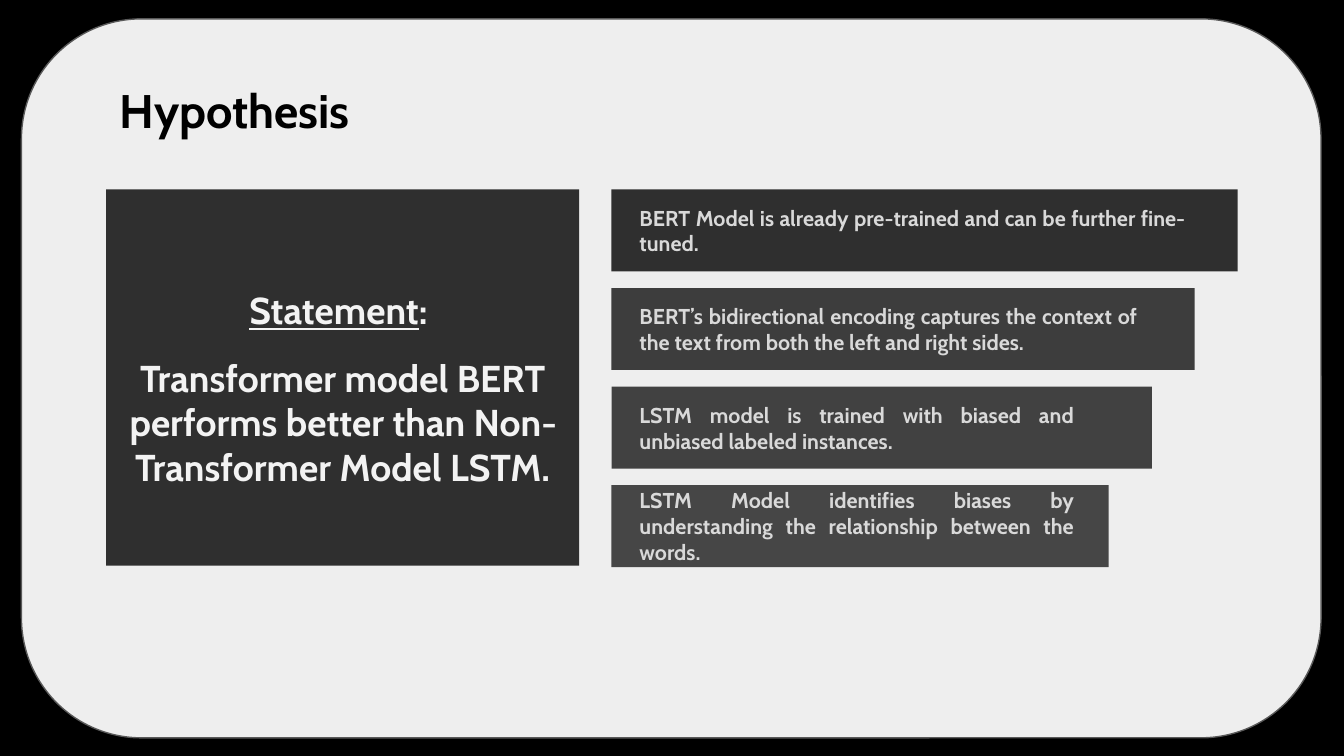
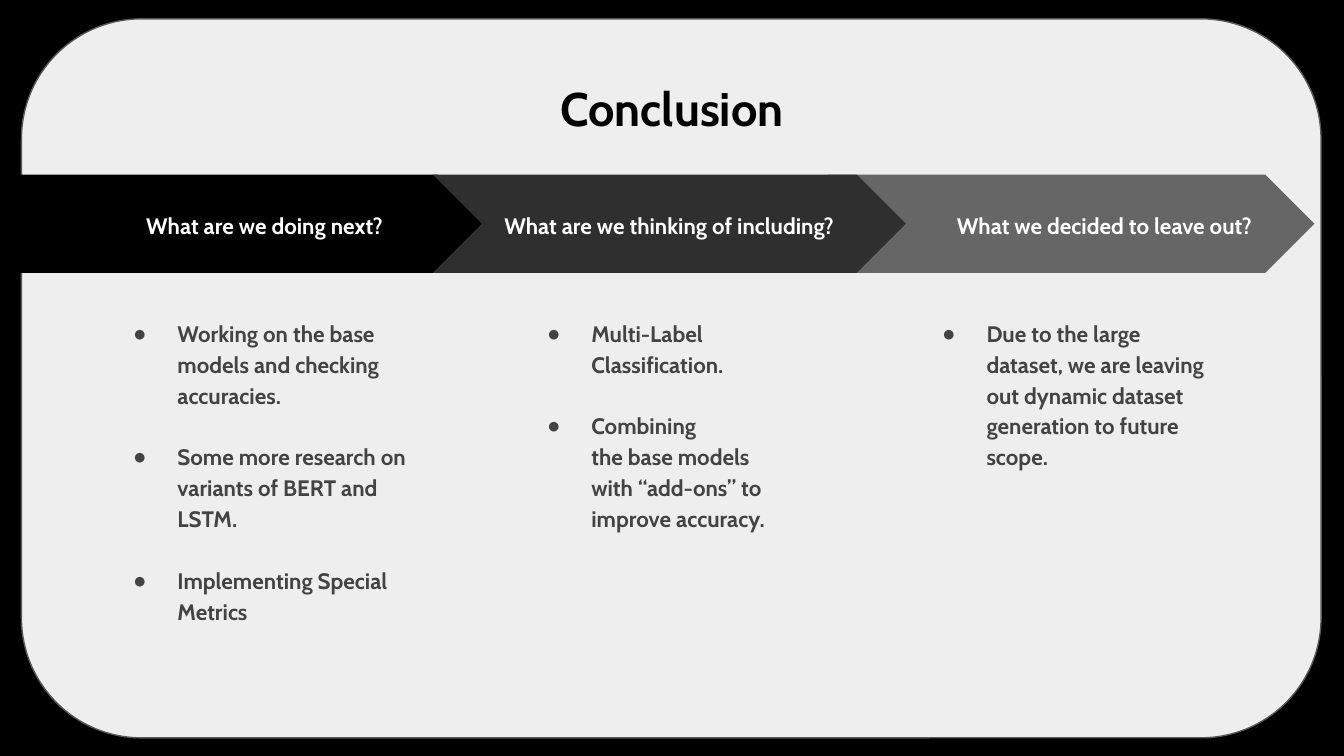
from dataclasses import dataclass

from lxml import etree
from pptx import Presentation
from pptx import util as u
from pptx.dml import color as dml
from pptx.enum import shapes, text
from pptx.oxml import ns

IN = u.Inches
KIND = shapes.MSO_SHAPE
SIDE = text.PP_ALIGN
MID = text.MSO_ANCHOR.MIDDLE
TOP = text.MSO_ANCHOR.TOP


@dataclass(frozen=True)
class Theme:
    font: str = "Cabin"
    black: str = "000000"
    white: str = "FFFFFF"
    pale: str = "EEEEEE"
    edge: str = "595959"
    dark: str = "2F2F2F"
    gray: str = "666666"
    ink: str = "434343"
    light: str = "F3F3F3"
    soft: str = "D9D9D9"
    bars: tuple = ("2F2F2F", "3D3D3D", "414141", "464646")
    head: float = 25.2
    big: float = 20
    body: float = 12
    small: float = 11.5
    lead: float = 1.15


def rgb(code):
    return dml.RGBColor.from_string(code)


def write(par, words, size, color, align=None, lead=None, before=0, under=False):
    """Add a formatted run to a paragraph and set the paragraph's spacing."""
    run = par.add_run()
    run.text = words
    font = run.font
    font.name, font.size, font.bold = Theme.font, u.Pt(size), True
    font.underline = under
    font.color.rgb = rgb(color)
    par.space_before = u.Pt(before)
    if align is not None:
        par.alignment = align
    if lead:
        par.line_spacing = lead


def indent(par, left, first, mark=None, color=None):
    """Set the indents, and a bullet where a mark is given."""
    props = par._p.get_or_add_pPr()
    props.set("marL", str(IN(left)))
    props.set("indent", str(IN(first)))
    if mark:
        tint = etree.SubElement(props, ns.qn("a:buClr"))
        etree.SubElement(tint, ns.qn("a:srgbClr"), val=color)
        etree.SubElement(props, ns.qn("a:buChar"), char=mark)
    else:
        etree.SubElement(props, ns.qn("a:buNone"))


class Deck:
    def __init__(self, theme, wide, high):
        self.theme = theme
        self.prs = Presentation()
        self.prs.slide_width, self.prs.slide_height = IN(wide), IN(high)
        self.slide = None

    def page(self, layout):
        self.slide = self.prs.slides.add_slide(self.prs.slide_layouts[layout])

    def frame(self, item, anchor=MID, side=0.1, edge=0.1):
        box = item.text_frame
        box.word_wrap = True
        box.auto_size = text.MSO_AUTO_SIZE.NONE
        box.vertical_anchor = anchor
        box.margin_left = box.margin_right = IN(side)
        box.margin_top = box.margin_bottom = IN(edge)
        return box

    def place(self, item, x, y, w, h):
        item.left, item.top, item.width, item.height = map(IN, (x, y, w, h))

    def shape(self, kind, x, y, w, h, fill, line=None):
        item = self.slide.shapes.add_shape(kind, IN(x), IN(y), IN(w), IN(h))
        item.shadow.inherit = False
        item.fill.solid()
        item.fill.fore_color.rgb = rgb(fill)
        if line:
            item.line.color.rgb = rgb(line)
            item.line.width = u.Pt(0.75)
        else:
            item.line.fill.background()
        return item

    def master(self):
        """Give the master its black ground and rounded panel."""
        t, base = self.theme, self.prs.slide_master
        base.background.fill.solid()
        base.background.fill.fore_color.rgb = rgb(t.black)
        panel = self.shape(KIND.ROUNDED_RECTANGLE, 0.16, 0.14, 9.67, 5.35, t.pale, t.edge)
        panel.adjustments[0] = 0.167
        panel._element.nvSpPr.cNvPr.set("id", "90")
        base.shapes._spTree.insert(2, panel._element)

    def title(self, words, x, y, align):
        item = self.slide.shapes.title
        self.place(item, x, y, 9.32, 0.63)
        par = self.frame(item).paragraphs[0]
        write(par, words, self.theme.head, self.theme.black, align=align)

    def note(self, words, x, y, w, h):
        item = self.slide.shapes.add_textbox(IN(x), IN(y), IN(w), IN(h))
        par = self.frame(item, edge=0.05).paragraphs[0]
        write(par, words, self.theme.small, self.theme.soft, align=SIDE.JUSTIFY)

    def list(self, slot, items, x, y, w, h):
        """Fill a body placeholder; each item is a tuple of lines."""
        t = self.theme
        item = self.slide.placeholders[slot]
        self.place(item, x, y, w, h)
        box = self.frame(item, TOP)
        for i, lines in enumerate(items):
            for j, line in enumerate(lines):
                first = i == j == 0
                par = box.paragraphs[0] if first else box.add_paragraph()
                gap = 16.5 if i and not j else 0
                write(par, line, t.body, t.ink, SIDE.LEFT, t.lead, gap)
                if j:
                    indent(par, 0.5, 0)
                else:
                    indent(par, 0.5, -0.33, "●", t.ink)

    def step(self, kind, words, x, w, fill, align, first=0):
        t = self.theme
        item = self.shape(kind, x, 1.3, w, 0.73, fill)
        par = self.frame(item).paragraphs[0]
        write(par, words, t.body, t.white, align, t.lead)
        indent(par, 0, first)

    def prune(self):
        """Remove placeholders that hold no text."""
        for item in list(self.slide.placeholders):
            if not item.text_frame.text:
                item._element.getparent().remove(item._element)


def thesis(deck):
    t = deck.theme
    deck.title("Hypothesis", 0.79, 0.5, SIDE.LEFT)

    # Statement block
    block = deck.shape(KIND.RECTANGLE, 0.79, 1.41, 3.52, 2.8, t.dark)
    box = deck.frame(block, edge=0.05)
    box.margin_top = IN(0.21)
    par = box.paragraphs[0]
    write(par, "Statement", t.big, t.light, SIDE.CENTER, under=True)
    write(par, ": ", t.big, t.light)
    write(box.add_paragraph(),
          "Transformer model BERT performs better than Non-Transformer Model LSTM.",
          t.big, t.light, SIDE.CENTER, before=12)

    # Reasons, on bars that get shorter
    facts = (
        ("BERT Model is already pre-trained and can be further fine-tuned.", 4.26),
        ("BERT’s bidirectional encoding captures the context of the text "
         "from both the left and right sides.", 3.9),
        ("LSTM model is trained with biased and unbiased labeled instances.", 3.43),
        ("LSTM Model identifies biases by understanding the relationship "
         "between the words.", 3.43),
    )
    high, pitch = 0.61, (2.81 - 0.61) / 3
    for i, ((words, wide), fill) in enumerate(zip(facts, t.bars)):
        y = 1.41 + i * pitch
        deck.shape(KIND.RECTANGLE, 4.55, y, 4.66 - 0.32 * i, high, fill)
        deck.note(words, 4.66, y + (high - 0.27) / 2, wide, 0.27)


def close(deck):
    t = deck.theme
    deck.title("Conclusion", 0.34, 0.49, SIDE.CENTER)

    # Arrow band; the last arrow lies at the back
    deck.step(KIND.CHEVRON, "What we decided to leave out?", 6.16, 3.62, t.gray, SIDE.RIGHT)
    deck.step(KIND.PENTAGON, "What are we doing next?", 0, 3.62, t.black, SIDE.CENTER, 0.5)
    deck.step(KIND.CHEVRON, "What are we thinking of including?", 3.22, 3.52, t.dark,
              SIDE.CENTER)

    # One list under each arrow
    lists = (
        (0.72, (("Working on the base models and checking accuracies.",),
                ("Some more research on variants of BERT and LSTM.",),
                ("Implementing Special Metrics",))),
        (3.8, (("Multi-Label Classification.",),
               ("Combining", "the base models", "with “add-ons” to improve accuracy."))),
        (6.74, (("Due to the large dataset, we are leaving out dynamic dataset "
                 "generation to future scope.",),)),
    )
    for slot, (x, items) in enumerate(lists, 1):
        deck.list(slot, items, x, 2.25, 2.45, 2.86)


def main():
    # Wide screen, 16 to 9
    deck = Deck(Theme(), 10, 10 * 9 / 16)
    # Layout 5 has a title only, layout 4 a title and four bodies
    deck.page(5)
    deck.master()
    thesis(deck)
    deck.page(4)
    close(deck)
    deck.prune()
    deck.prs.save("out.pptx")


if __name__ == "__main__":
    main()
